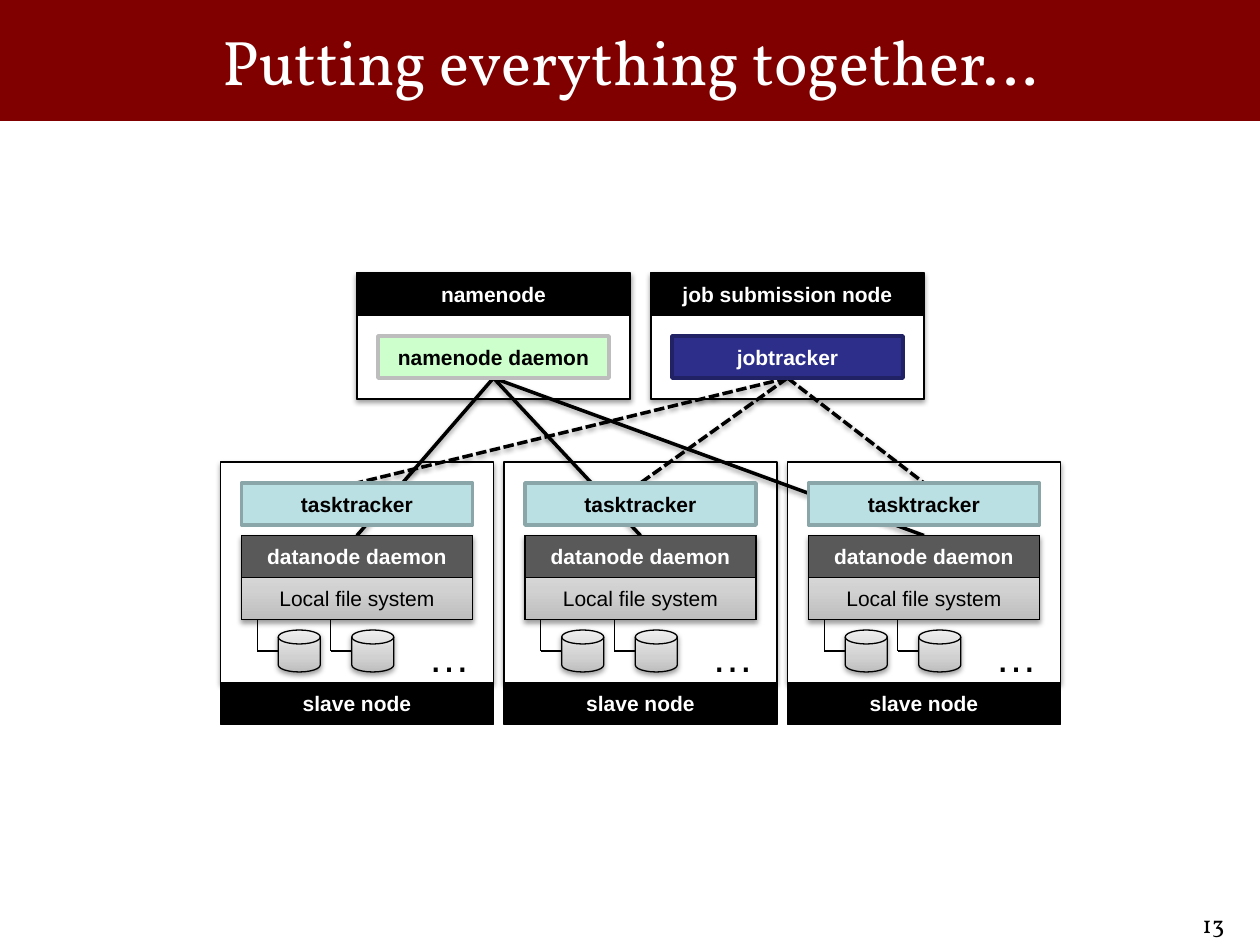
import pptx
import pptx.util
import pptx.dml.color
import pptx.enum.shapes
import pptx.enum.text
import pptx.enum.dml
import pptx.oxml
import pptx.oxml.ns

Pt = pptx.util.Pt
Kind = pptx.enum.shapes.MSO_SHAPE
Align = pptx.enum.text.PP_ALIGN
Anchor = pptx.enum.text.MSO_ANCHOR
qn = pptx.oxml.ns.qn
NS = 'xmlns:a="http://schemas.openxmlformats.org/drawingml/2006/main"'

# Grid units of a twelfth of an inch: a row is 4, a node 26, a part 22 wide
ROW, NODE, PART, PAD = 4, 26, 22, 2
HEAD_TOP, SLAVE_TOP = 26, 44
HEADS = [(34, "namenode", "namenode daemon", "CCFFCC", "BDBDBD", "000000"),
         (62, "job submission node", "jobtracker", "2D2D8A", "212166", "FFFFFF")]
SLAVES = [21 + 27 * i for i in range(3)]
GREYS = [(0, "BDBDBD"), (35, "D1D1D1"), (100, "EEEEEE")]


def unit(n):
    return pptx.util.Inches(n / 12)


def color(code):
    return pptx.dml.color.RGBColor.from_string(code)


def shade(props, on):
    """Set the effect list: a soft shadow below, or none."""
    for old in props.findall(qn("a:effectLst")):
        props.remove(old)
    glow = ('<a:outerShdw blurRad="39370" dist="20320" dir="5400000" rotWithShape="0">'
            '<a:srgbClr val="000000"><a:alpha val="38000"/></a:srgbClr>'
            '</a:outerShdw>') if on else ""
    props.append(pptx.oxml.parse_xml(f"<a:effectLst {NS}>{glow}</a:effectLst>"))


def blend(fill, props):
    """Fill with greys that get lighter upwards."""
    fill.gradient()
    fill.gradient_angle = 90
    stops = props.find(qn("a:gradFill")).find(qn("a:gsLst"))
    for stop in list(stops):
        stops.remove(stop)
    for pos, code in GREYS:
        stops.append(pptx.oxml.parse_xml(
            f'<a:gs {NS} pos="{pos * 1000}"><a:srgbClr val="{code}"/></a:gs>'))


def write(frame, text, size, font, code, bold=False, align=Align.CENTER):
    para = frame.paragraphs[0]
    para.alignment = align
    run = para.add_run()
    run.text = text
    run.font.size, run.font.name, run.font.bold = Pt(size), font, bold
    run.font.color.rgb = color(code)


def box(slide, x, y, w, h, fill=None, edge="000000", width=0.75,
        kind=Kind.RECTANGLE, shadow=False):
    shape = slide.shapes.add_shape(kind, unit(x), unit(y), unit(w), unit(h))
    if fill is None:
        shape.fill.background()
    elif fill == "greys":
        blend(shape.fill, shape.element.spPr)
    else:
        shape.fill.solid()
        shape.fill.fore_color.rgb = color(fill)
    shape.line.color.rgb = color(edge)
    shape.line.width = Pt(width)
    shade(shape.element.spPr, shadow)
    return shape


def label(slide, x, y, w, text, fill, ink="FFFFFF", edge="000000",
          width=0.75, bold=True):
    """One row high box with centred text."""
    frame = box(slide, x, y, w, ROW, fill, edge, width).text_frame
    frame.vertical_anchor = Anchor.MIDDLE
    write(frame, text, 12, "Arial", ink, bold)


def link(slide, start, end, width=0.75, dash=False, shadow=False):
    line = slide.shapes.add_connector(
        pptx.enum.shapes.MSO_CONNECTOR.STRAIGHT, *map(unit, (*start, *end)))
    line.line.color.rgb = color("000000")
    line.line.width = Pt(width)
    if dash:
        line.line.dash_style = pptx.enum.dml.MSO_LINE.SQUARE_DOT
    shade(line._element.spPr, shadow)


def note(slide, x, y, w, h, text, size, font, align, wrap):
    frame = slide.shapes.add_textbox(unit(x), unit(y), unit(w), unit(h)).text_frame
    frame.word_wrap = wrap
    write(frame, text, size, font, "000000", align=align)


def title(slide, text):
    band = box(slide, 0, 0, 120, 11.4, "800000", "800000", 2)
    head = slide.shapes.title
    head._element.addprevious(band._element)
    head.left, head.top, head.width, head.height = map(unit, (6, 1, 108, 9.5))
    head.text_frame.vertical_anchor = Anchor.MIDDLE
    write(head.text_frame, text, 36, "Vollkorn", "FFFFFF")


def links(slide):
    """Join each head to its part in every slave node."""
    for (x, *_), drop, dash in zip(HEADS, (51, 46), (False, True)):
        for left in SLAVES:
            link(slide, (x + NODE / 2, 36), (left + NODE / 2, drop), 2, dash, True)


def slave(slide, left):
    x, y = left + PAD, SLAVE_TOP + 7
    # Daemon on top of the file system
    box(slide, x, y, PART, 2 * ROW, "greys", shadow=True)
    label(slide, x, y, PART, "datanode daemon", "595959")
    label(slide, x, y + ROW, PART, "Local file system", None, "000000", bold=False)
    # Disks hanging from the file system
    for disk in (x + 3.5, x + 10.5):
        box(slide, disk, 60, ROW, ROW, "greys",
            kind=Kind.FLOWCHART_MAGNETIC_DISK, shadow=True)
        link(slide, (disk - 2, 59), (disk - 2, 62))
        link(slide, (disk - 2, 62), (disk, 62))
    note(slide, x + 16.6, 59.5, 5.4, 4.8, "…", 24, "Arial", Align.LEFT, False)
    label(slide, x, SLAVE_TOP + PAD, PART, "tasktracker", "BBE0E3", "000000",
          "8AA6A8", 2)
    label(slide, left, SLAVE_TOP + 21, NODE, "slave node", "000000")


def head(slide, x, name, daemon, fill, edge, ink):
    label(slide, x, HEAD_TOP, NODE, name, "000000")
    box(slide, x, HEAD_TOP + ROW, NODE, 2 * ROW)
    label(slide, x + PAD, HEAD_TOP + ROW + PAD, PART, daemon, fill, ink, edge, 2)


def main():
    deck = pptx.Presentation()
    deck.slide_width, deck.slide_height = unit(120), unit(90)
    slide = deck.slides.add_slide(deck.slide_layouts[5])
    title(slide, "Putting everything together…")

    # Node frames lie behind the links, node contents in front
    for x, *_ in HEADS:
        box(slide, x, HEAD_TOP, NODE, 3 * ROW, "FFFFFF", shadow=True)
    for left in SLAVES:
        box(slide, left, SLAVE_TOP, NODE, 21, "FFFFFF", shadow=True)
    links(slide)
    for left in SLAVES:
        slave(slide, left)
    for row in HEADS:
        head(slide, *row)

    # Page number
    note(slide, 91.4, 86, 26.4, 3.6, "13", 14, "Vollkorn", Align.RIGHT, True)
    deck.save("out.pptx")


if __name__ == "__main__":
    main()
